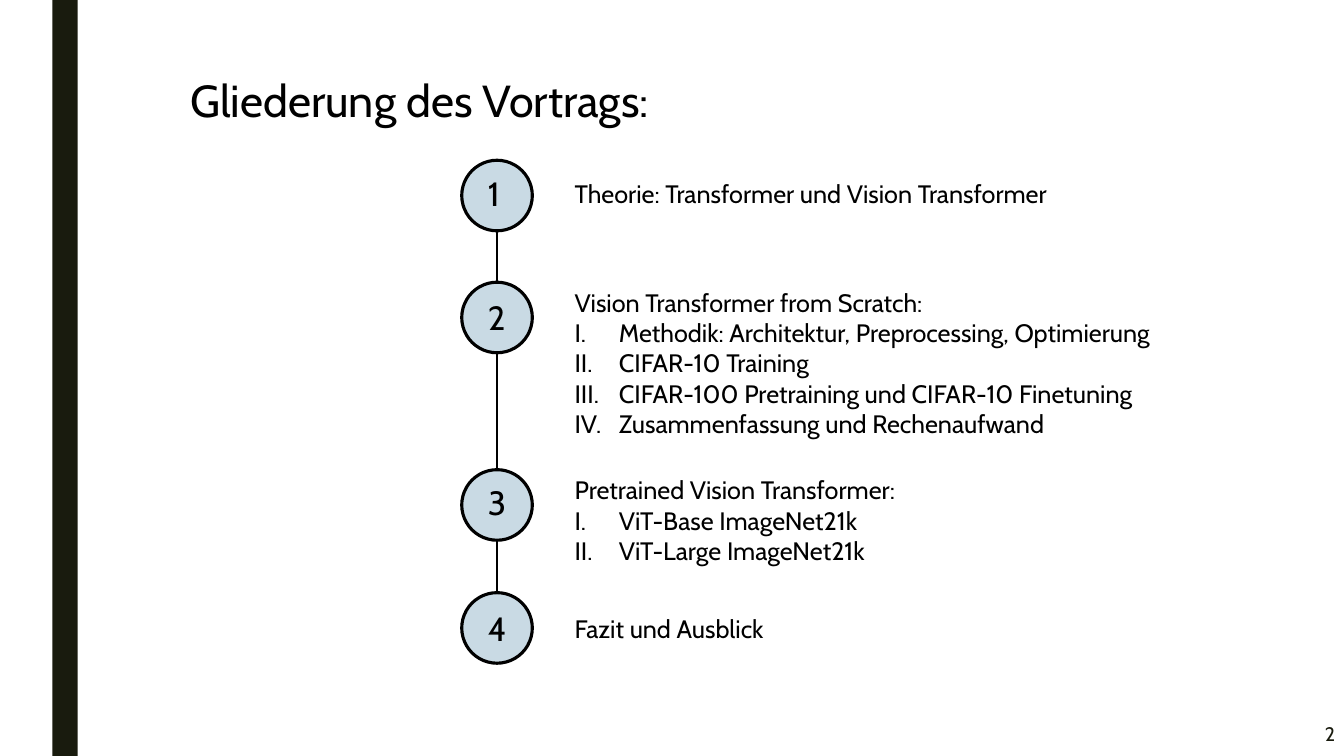
from lxml import etree
from pptx import Presentation
from pptx.dml.color import RGBColor
from pptx.enum import shapes, text
from pptx.oxml import ns
from pptx.util import Inches, Pt

THEME = {
    "font": "Cabin",
    "black": RGBColor(0, 0, 0),
    "bar": RGBColor(0x19, 0x1B, 0x0E),
    "circle": RGBColor(0xC9, 0xDA, 0xE4),
    "title": Pt(32),
    "number": Pt(24),
    "body": Pt(18),
    "page": Pt(14),
    "outline": Pt(2.25),
    "link": Pt(1.5),
}

prs = Presentation()
prs.slide_width, prs.slide_height = Inches(13.33), Inches(7.5)
s = prs.slides.add_slide(prs.slide_layouts[6])


def add_shape(kind, box, fill):
    sp = s.shapes.add_shape(kind, *map(Inches, box))
    sp.shadow.inherit = False
    sp.fill.solid()
    sp.fill.fore_color.rgb = fill
    return sp


def add_text(box, lines, size, wrap=False, color="black"):
    tf = s.shapes.add_textbox(*map(Inches, box)).text_frame
    frame = {"word_wrap": wrap, "auto_size": text.MSO_AUTO_SIZE.SHAPE_TO_FIT_TEXT}
    for name, value in frame.items():
        setattr(tf, name, value)
    for i, line in enumerate(lines):
        p = tf.paragraphs[0] if i == 0 else tf.add_paragraph()
        r = p.add_run()
        r.text = line
        for name, value in {"name": THEME["font"], "size": THEME[size]}.items():
            setattr(r.font, name, value)
        r.font.color.rgb = THEME[color]
        if i > 0:
            pPr = p._p.get_or_add_pPr()
            pPr.set("marL", str(Inches(0.44)))
            pPr.set("indent", str(Inches(-0.44)))
            etree.SubElement(pPr, ns.qn("a:buFont"), typeface="+mj-lt")
            etree.SubElement(pPr, ns.qn("a:buAutoNum"), type="romanUcPeriod")
    return tf


bar = add_shape(shapes.MSO_SHAPE.RECTANGLE, (0.52, 0, 0.25, 7.5), THEME["bar"])
bar.line.fill.background()
add_text((1.79, 0.67, 5.19, 0.64), ["Gliederung des Vortrags:"], "title", wrap=True)

DIAMETER, CIRCLE_LEFT = 0.7, 4.58
CENTER = CIRCLE_LEFT + DIAMETER / 2
sections = [
    (1.59, 1.67, (1.72, 4.91, 0.4), ["Theorie: Transformer und Vision Transformer"]),
    (2.8, 2.9, (2.8, 5.97, 1.62), [
        "Vision Transformer from Scratch:",
        "Methodik: Architektur, Preprocessing, Optimierung",
        "CIFAR-10 Training",
        "CIFAR-100 Pretraining und CIFAR-10 Finetuning",
        "Zusammenfassung und Rechenaufwand",
    ]),
    (4.66, 4.73, (4.66, 3.42, 1.01), [
        "Pretrained Vision Transformer:",
        "ViT-Base ImageNet21k",
        "ViT-Large ImageNet21k",
    ]),
    (5.88, 5.98, (6.04, 2.12, 0.4), ["Fazit und Ausblick"]),
]

for number, (top, number_top, body_box, lines) in enumerate(sections, 1):
    circle = add_shape(shapes.MSO_SHAPE.OVAL, (CIRCLE_LEFT, top, DIAMETER, DIAMETER), THEME["circle"])
    circle.line.color.rgb = THEME["black"]
    circle.line.width = THEME["outline"]
    add_text((4.74, number_top, 0.4, 0.5), [str(number)], "number")
    add_text((5.6, *body_box), lines, "body")

for upper, lower in zip(sections, sections[1:]):
    ends = (CENTER, upper[0] + DIAMETER, CENTER, lower[0])
    link = s.shapes.add_connector(shapes.MSO_CONNECTOR.STRAIGHT, *map(Inches, ends))
    link.line.color.rgb = THEME["black"]
    link.line.width = THEME["link"]
    etree.SubElement(link._element.spPr, ns.qn("a:effectLst"))

tf = add_text((11.59, 7.06, 1.75, 0.44), ["2"], "page", wrap=True, color="bar")
tf.auto_size = text.MSO_AUTO_SIZE.NONE
tf.vertical_anchor = text.MSO_ANCHOR.MIDDLE
tf.paragraphs[0].alignment = text.PP_ALIGN.RIGHT

prs.save("out.pptx")
